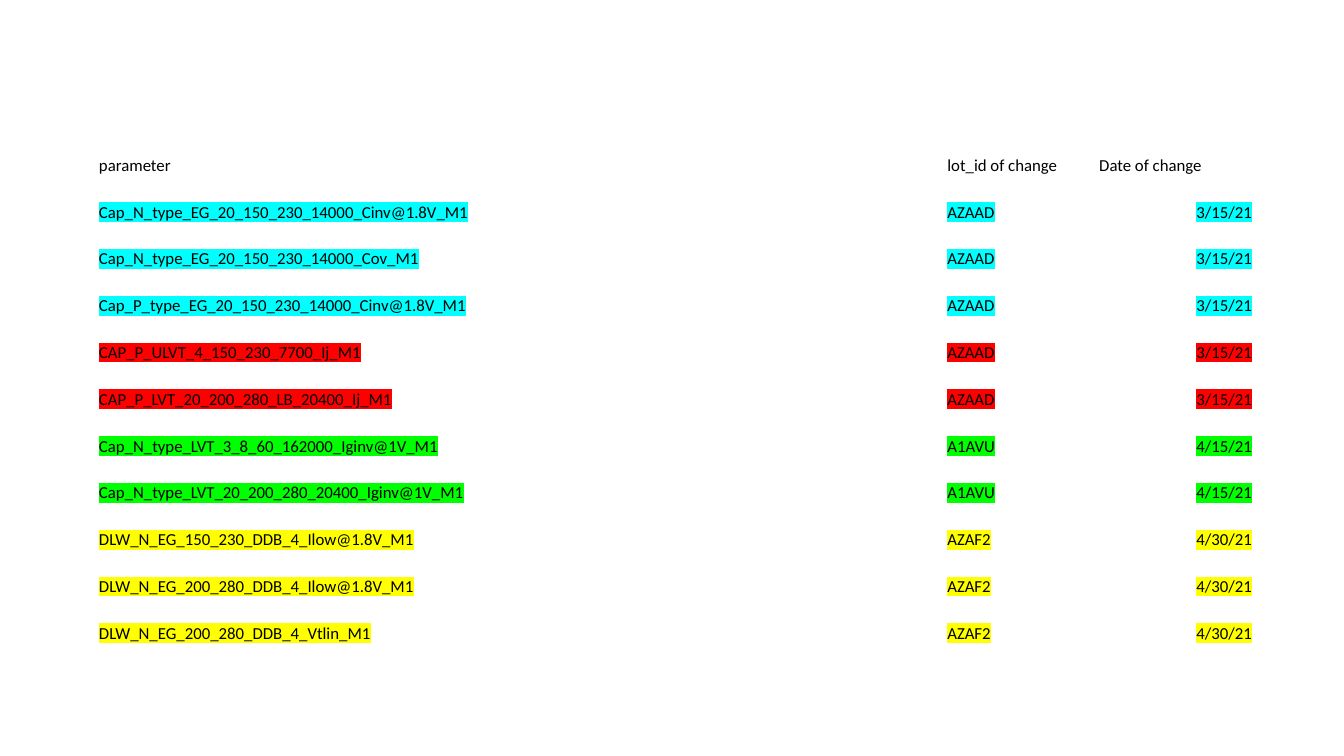
import dataclasses

import lxml.etree
import pptx
import pptx.dml.color
import pptx.enum.text
import pptx.oxml.ns
import pptx.util


@dataclasses.dataclass(frozen=True)
class Theme:
    font: str = "Calibri"
    size: int = 12
    ink: str = "000000"
    cyan: str = "00FFFF"
    red: str = "FF0000"
    green: str = "00FF00"
    yellow: str = "FFFF00"


class PageBuilder:
    """Adds styled elements to the current slide."""

    def __init__(self, page, theme):
        self.page = page
        self.theme = theme

    def add_span(self, para, text, highlight=None):
        span = para.add_run()
        span.text = text
        span.font.size = pptx.util.Pt(self.theme.size)
        span.font.color.rgb = pptx.dml.color.RGBColor.from_string(self.theme.ink)
        if highlight:
            properties = span.font._element
            mark = lxml.etree.SubElement(properties, pptx.oxml.ns.qn("a:highlight"))
            lxml.etree.SubElement(mark, pptx.oxml.ns.qn("a:srgbClr"), val=highlight)
        span.font.name = self.theme.font

    def fill_cell(self, cell, text, align, highlight):
        cell.fill.background()
        cell.vertical_anchor = pptx.enum.text.MSO_ANCHOR.BOTTOM
        cell.margin_left = cell.margin_right = cell.margin_top = pptx.util.Pt(0.72)
        cell.margin_bottom = pptx.util.Pt(0)
        para = cell.text_frame.paragraphs[0]
        para.alignment = align
        self.add_span(para, text, highlight)

    def add_table(self, left, top, column_widths, row_height, header, records):
        frame = self.page.shapes.add_table(
            len(records) + 1,
            len(header),
            pptx.util.Pt(left),
            pptx.util.Pt(top),
            pptx.util.Pt(sum(column_widths)),
            pptx.util.Pt(row_height * (len(records) + 1)),
        )
        table = frame.table
        table.first_row = False
        table.horz_banding = False
        for column, width in zip(table.columns, column_widths):
            column.width = pptx.util.Pt(width)
        for row in table.rows:
            row.height = pptx.util.Pt(row_height)

        alignment = pptx.enum.text.PP_ALIGN
        for index, text in enumerate(header):
            self.fill_cell(table.cell(0, index), text, alignment.LEFT, None)
        body_aligns = (alignment.LEFT, alignment.LEFT, alignment.RIGHT)
        for row_index, (highlight, *texts) in enumerate(records, start=1):
            for index, (text, align) in enumerate(zip(texts, body_aligns)):
                self.fill_cell(table.cell(row_index, index), text, align, highlight)


def main():
    theme = Theme()
    deck = pptx.Presentation()
    deck.slide_width = pptx.util.Pt(960)
    deck.slide_height = pptx.util.Pt(540)
    page = deck.slides.add_slide(deck.slide_layouts[6])

    changes = [
        (theme.cyan, "AZAAD", "3/15/21", [
            "Cap_N_type_EG_20_150_230_14000_Cinv@1.8V_M1",
            "Cap_N_type_EG_20_150_230_14000_Cov_M1",
            "Cap_P_type_EG_20_150_230_14000_Cinv@1.8V_M1",
        ]),
        (theme.red, "AZAAD", "3/15/21", [
            "CAP_P_ULVT_4_150_230_7700_Ij_M1",
            "CAP_P_LVT_20_200_280_LB_20400_Ij_M1",
        ]),
        (theme.green, "A1AVU", "4/15/21", [
            "Cap_N_type_LVT_3_8_60_162000_Iginv@1V_M1",
            "Cap_N_type_LVT_20_200_280_20400_Iginv@1V_M1",
        ]),
        (theme.yellow, "AZAF2", "4/30/21", [
            "DLW_N_EG_150_230_DDB_4_Ilow@1.8V_M1",
            "DLW_N_EG_200_280_DDB_4_Ilow@1.8V_M1",
            "DLW_N_EG_200_280_DDB_4_Vtlin_M1",
        ]),
    ]
    records = [
        (highlight, parameter, lot, date)
        for highlight, lot, date, parameters in changes
        for parameter in parameters
    ]
    PageBuilder(page, theme).add_table(
        left=70,
        top=92.2,
        column_widths=(606, 108.5, 110.5),
        row_height=33.43,
        header=("parameter", "lot_id of change", "Date of change"),
        records=records,
    )
    deck.save("out.pptx")


if __name__ == "__main__":
    main()
